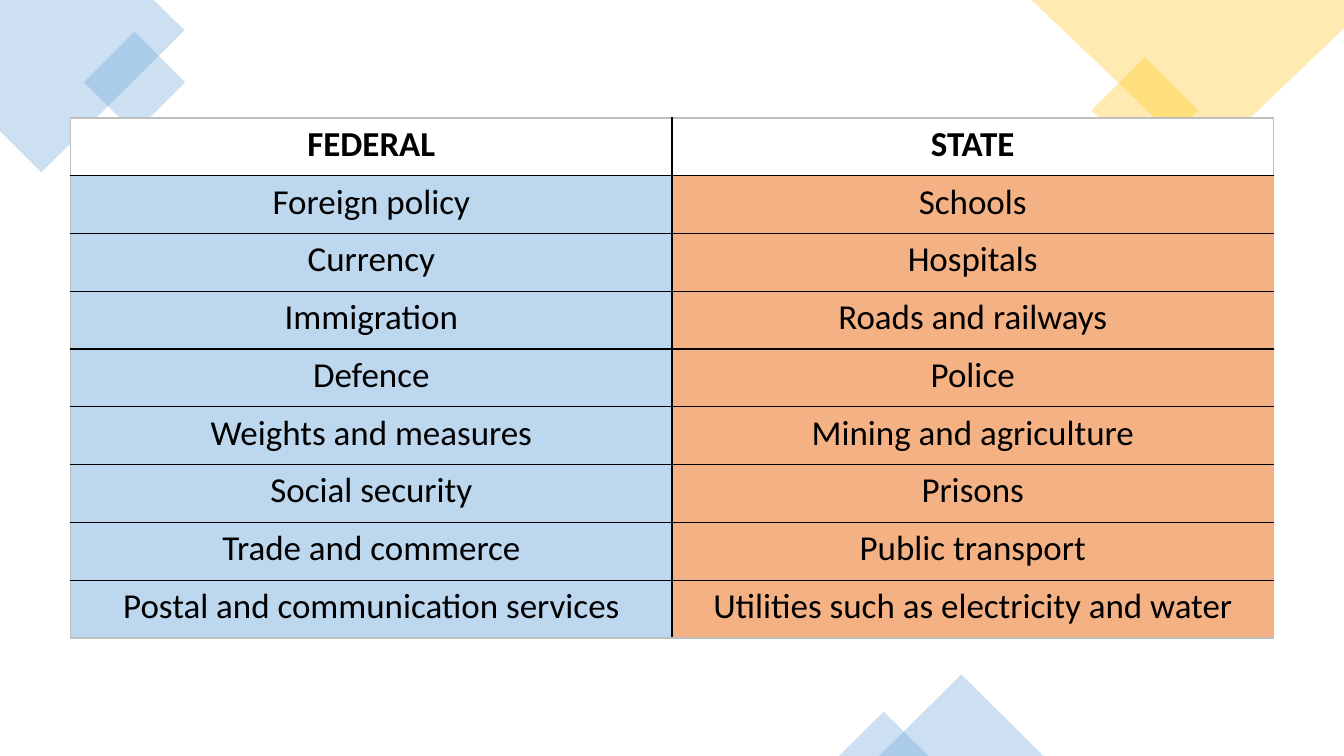
from dataclasses import dataclass

from lxml.etree import SubElement
from pptx import Presentation
from pptx.dml.color import RGBColor
from pptx.enum.shapes import MSO_SHAPE as Preset
from pptx.enum.text import PP_ALIGN as Align
from pptx.oxml.ns import qn
from pptx.util import Inches, Pt


@dataclass(frozen=True)
class Theme:
    font: str = "Calibri"
    text_size: float = 25
    border_width: float = 1
    opacity: int = 30
    blue: str = "5B9BD5"
    gold: str = "FFC000"
    text: str = "000000"
    grid: str = "000000"
    frame: str = "BFBFBF"
    header: str = "FFFFFF"
    columns: tuple = ("BDD7EE", "F4B183")


class SlideBuilder:
    def __init__(self, slide, theme):
        self.slide = slide
        self.theme = theme

    def tint(self, shape, color):
        shape.shadow.inherit = False
        shape.line.fill.background()
        shape.fill.solid()
        shape.fill.fore_color.rgb = RGBColor.from_string(color)
        color_element = shape._element.spPr.find(qn("a:solidFill"))[0]
        SubElement(color_element, qn("a:alpha"), val=str(self.theme.opacity * 1000))

    def preset(self, kind, box, color, rotation=0):
        shape = self.slide.shapes.add_shape(kind, *map(Inches, box))
        shape.rotation = rotation
        self.tint(shape, color)

    def polygon(self, points, color):
        start, *others = [(Inches(x), Inches(y)) for x, y in points]
        builder = self.slide.shapes.build_freeform(*start, scale=1.0)
        builder.add_line_segments(others, close=True)
        self.tint(builder.convert_to_shape(), color)

    def border(self, cell, side, color):
        width = str(Pt(self.theme.border_width))
        properties = cell._tc.get_or_add_tcPr()
        line = SubElement(properties, qn(f"a:ln{side}"), w=width)
        fill = SubElement(line, qn("a:solidFill"))
        SubElement(fill, qn("a:srgbClr"), val=color)

    def cell(self, cell, text, fill, edges, bold):
        for side, is_outer in edges.items():
            self.border(cell, side, self.theme.frame if is_outer else self.theme.grid)
        cell.fill.solid()
        cell.fill.fore_color.rgb = RGBColor.from_string(fill)
        cell.margin_left = cell.margin_right = Inches(0.11)
        cell.margin_top = cell.margin_bottom = Inches(0.05)
        cell.text_frame.text = text
        paragraph = cell.text_frame.paragraphs[0]
        paragraph.alignment = Align.CENTER
        font = paragraph.runs[0].font
        font.name = self.theme.font
        font.size = Pt(self.theme.text_size)
        font.bold = bold
        font.color.rgb = RGBColor.from_string(self.theme.text)

    def table(self, rows, box):
        last_row, last_column = len(rows) - 1, len(rows[0]) - 1
        frame = self.slide.shapes.add_table(
            len(rows), len(rows[0]), *map(Inches, box)
        )
        table = frame.table
        table.first_row = table.horz_banding = False
        for row_index, row in enumerate(rows):
            is_header = row_index == 0
            for column_index, text in enumerate(row):
                edges = {
                    "L": column_index == 0,
                    "R": column_index == last_column,
                    "T": is_header,
                    "B": row_index == last_row,
                }
                fill = self.theme.header if is_header else self.theme.columns[column_index]
                self.cell(
                    table.cell(row_index, column_index), text, fill, edges, is_header
                )


POWERS = [
    ("FEDERAL", "STATE"),
    ("Foreign policy", "Schools"),
    ("Currency", "Hospitals"),
    ("Immigration", "Roads and railways"),
    ("Defence", "Police"),
    ("Weights and measures", "Mining and agriculture"),
    ("Social security", "Prisons"),
    ("Trade and commerce", "Public transport"),
    ("Postal and communication services", "Utilities such as electricity and water"),
]


def main():
    presentation = Presentation()
    presentation.slide_width = Inches(13.33)
    presentation.slide_height = Inches(7.5)
    slide = presentation.slides.add_slide(presentation.slide_layouts[6])
    theme = Theme()
    builder = SlideBuilder(slide, theme)

    left_corner = [(1.53, 0), (0, 0), (0, 1.3), (0.41, 1.71), (1.83, 0.3)]
    right_corner = [(13.33, 0), (10.23, 0), (11.93, 1.62), (13.33, 0.28)]
    builder.polygon(left_corner, theme.blue)
    builder.preset(Preset.RECTANGLE, (0.98, 0.46, 0.71, 0.71), theme.blue, 315)
    builder.preset(Preset.RECTANGLE, (10.98, 0.72, 0.75, 0.75), theme.gold, 315)
    builder.polygon(right_corner, theme.gold)
    for box in [(8.72, 6.69, 1.63, 0.81), (8.32, 7.06, 0.89, 0.44)]:
        builder.preset(Preset.ISOSCELES_TRIANGLE, box, theme.blue)
    builder.table(POWERS, (0.7, 1.17, 11.93, 5.16))

    presentation.save("out.pptx")


if __name__ == "__main__":
    main()
